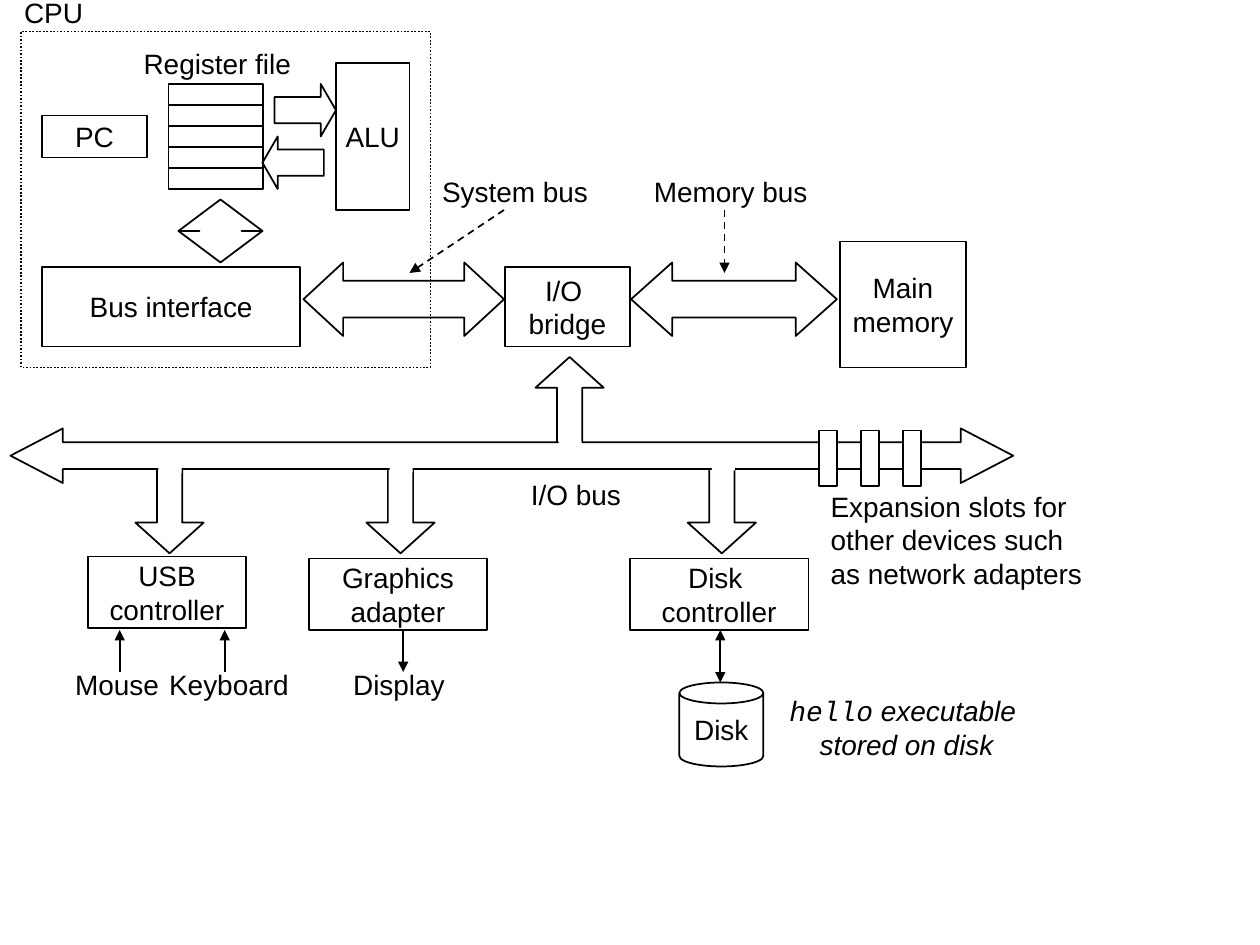
from dataclasses import dataclass
from lxml import etree
from pptx import Presentation, util as u
from pptx.dml.color import RGBColor
from pptx.enum import dml, shapes, text
from pptx.oxml.ns import qn


@dataclass(frozen=True)
class Theme:
    ink: RGBColor = RGBColor(0, 0, 0)
    paper: RGBColor = RGBColor(255, 255, 255)
    font: str = "Arial"
    mono: str = "Courier New"
    size: int = 16
    line: int = 1


T = Theme()
S = shapes.MSO_SHAPE
DASH = dml.MSO_LINE

# Content: every length is in grid units, twelve to the inch
UNIT = 1 / 12
ROW = 4.4  # height of a one-line label
BUS = (25, 7)  # top and height of the system and memory buses
MID = (25.4, 7.6)  # top and height of the boxes between buses
STEM = (0.37, 0.45)  # shape of the arrows that leave the I/O bus

BOXES = [  # left, top, width, height, lines
    (80, 23, 12, 12, ["Main", "memory"]),
    (48.1, MID[0], 11.9, MID[1], ["I/O ", "bridge"]),
    (4, MID[0], 24.6, MID[1], ["Bus interface"]),
    (32, 6, 7, 14, ["ALU"]),
    (4, 11, 10, 4, ["PC"]),
    (60, 53.2, 17, 6.8, ["Disk ", "controller"]),
    (29.4, 53.2, 17, 6.8, ["Graphics", "adapter"]),
    (8.4, 53, 15, 6.8, ["USB", "controller"]),
]
ARROWS = [  # preset, left, top, width, height, adjustments
    (S.LEFT_RIGHT_ARROW, 60.1, BUS[0], 19.6, BUS[1], (0.5, 0.56)),
    (S.LEFT_RIGHT_ARROW, 28.9, BUS[0], 19.1, BUS[1], (0.5, 0.54)),
    (S.RIGHT_ARROW, 26.15, 8, 5.85, 5, (0.5, 0.29)),
    (S.LEFT_ARROW, 25, 13, 5.85, 5, (0.5, 0.29)),
    (S.UP_DOWN_ARROW, 17, 19, 8, 6, (0.2, 0.5)),  # head first, then shaft
    (S.UP_ARROW, 51, 34, 6.5, 9, STEM),
]
DROPS = [65.5, 34.9, 12.9]  # left edges of the arrows down to the devices
JOINTS = [(15.1, 43.1), (37.1, 43), (67.8, 42.8), (53.2, 42)]
LABELS = [  # left, top, width, text
    (12.5, 3.8, 16.4, "Register file"),
    (1.1, -1, 8, "CPU"),
    (40.9, 16, 16.3, "System bus"),
    (61.1, 16, 17, "Memory bus"),
    (6, 63, 10.3, "Mouse"),
    (14.9, 63, 13.8, "Keyboard"),
    (32.5, 63, 11, "Display"),
    (49.4, 44.9, 10.9, "I/O bus"),
]
LINKS = [  # from x, y, to x, y, ends with arrowheads, dashed
    (48, 20, 39, 26, ["tail"], True),
    (69, 20, 69, 26, ["tail"], True),
    (11.4, 60, 11.4, 64, ["head"], False),
    (21.4, 60, 21.4, 64, ["head"], False),
    (38.4, 60, 38.4, 64, ["tail"], False),
    (68.6, 60, 68.6, 65, ["head", "tail"], False),
]
SLOTS = ["Expansion slots for", "other devices such", "as network adapters"]
HELLO = [[("hello", T.mono), (" executable ", T.font)], "stored on disk"]

deck = Presentation()
deck.slide_width, deck.slide_height = u.Inches(10), u.Inches(7.5)
slide = deck.slides.add_slide(deck.slide_layouts[6])


def grid(*cells):
    return [u.Inches(c * UNIT) for c in cells]


def write(shape, lines, align="CENTER", anchor="MIDDLE", italic=False):
    frame = shape.text_frame
    frame.word_wrap = False
    frame.margin_left = frame.margin_right = 0
    frame.vertical_anchor = getattr(text.MSO_ANCHOR, anchor)
    for i, line in enumerate(lines):
        para = frame.add_paragraph() if i else frame.paragraphs[0]
        para.alignment = getattr(text.PP_ALIGN, align)
        for words, face in [(line, T.font)] if isinstance(line, str) else line:
            run = para.add_run()
            run.text = words
            font = run.font
            font.name, font.size, font.italic = face, u.Pt(T.size), italic
            font.color.rgb = T.ink


def draw(kind, *at, adj=(), fill=False, line=True, dash=None, lines=()):
    shape = slide.shapes.add_shape(kind, *grid(*at))
    shape.shadow.inherit = False
    for i, part in enumerate(adj):
        shape.adjustments[i] = part
    if fill:
        shape.fill.solid()
        shape.fill.fore_color.rgb = T.paper
    else:
        shape.fill.background()
    if line:
        shape.line.color.rgb = T.ink
        shape.line.width = u.Pt(T.line)
        if dash:
            shape.line.dash_style = dash
    else:
        shape.line.fill.background()
    if lines:
        write(shape, lines)


def label(*at, lines, **form):
    write(slide.shapes.add_textbox(*grid(*at)), lines, **form)


def link(*ends, tips, dashed):
    wire = slide.shapes.add_connector(shapes.MSO_CONNECTOR.STRAIGHT, *grid(*ends))
    wire.line.color.rgb = T.ink
    wire.line.width = u.Pt(T.line)
    if dashed:
        wire.line.dash_style = DASH.DASH
    props = wire.line._get_or_add_ln()
    for tip in tips:
        etree.SubElement(props, qn(f"a:{tip}End"), type="triangle")
    etree.SubElement(wire._element.spPr, qn("a:effectLst"))


# CPU outline, register file and blocks
draw(S.RECTANGLE, 2, 3, 39, 32, dash=DASH.ROUND_DOT)
for i in range(5):
    draw(S.RECTANGLE, 16.05, 8 + 2 * i, 9, 2)
for *at, lines in BOXES:
    draw(S.RECTANGLE, *at, lines=lines)
draw(S.CAN, 64.7, 65, 8, 8, adj=[0.25], lines=["Disk"])

# Block arrows
for kind, *at, adj in ARROWS:
    draw(kind, *at, adj=adj)
for x in DROPS:
    draw(S.DOWN_ARROW, x, 43.7, 6.5, 9, adj=STEM)

# I/O bus, its open joints and expansion slots
draw(S.LEFT_RIGHT_ARROW, 1, 40.8, 95.5, 5.2, adj=(0.49, 0.96), fill=True)
for x, y in JOINTS:
    draw(S.RECTANGLE, x, y, 2.2, 2, fill=True, line=False)
for i in range(3):
    draw(S.RECTANGLE, 78 + 4 * i, 41, 1.7, 5.3, fill=True)

# Thin arrows and labels
for *ends, tips, dashed in LINKS:
    link(*ends, tips=tips, dashed=dashed)
for *at, words in LABELS:
    label(*at, ROW, lines=[words])
label(79.1, 46, 25.1, 10.8, lines=SLOTS, align="LEFT", anchor="TOP")
label(74, 65.4, 24.7, 7.7, lines=HELLO, italic=True)

deck.save("out.pptx")
